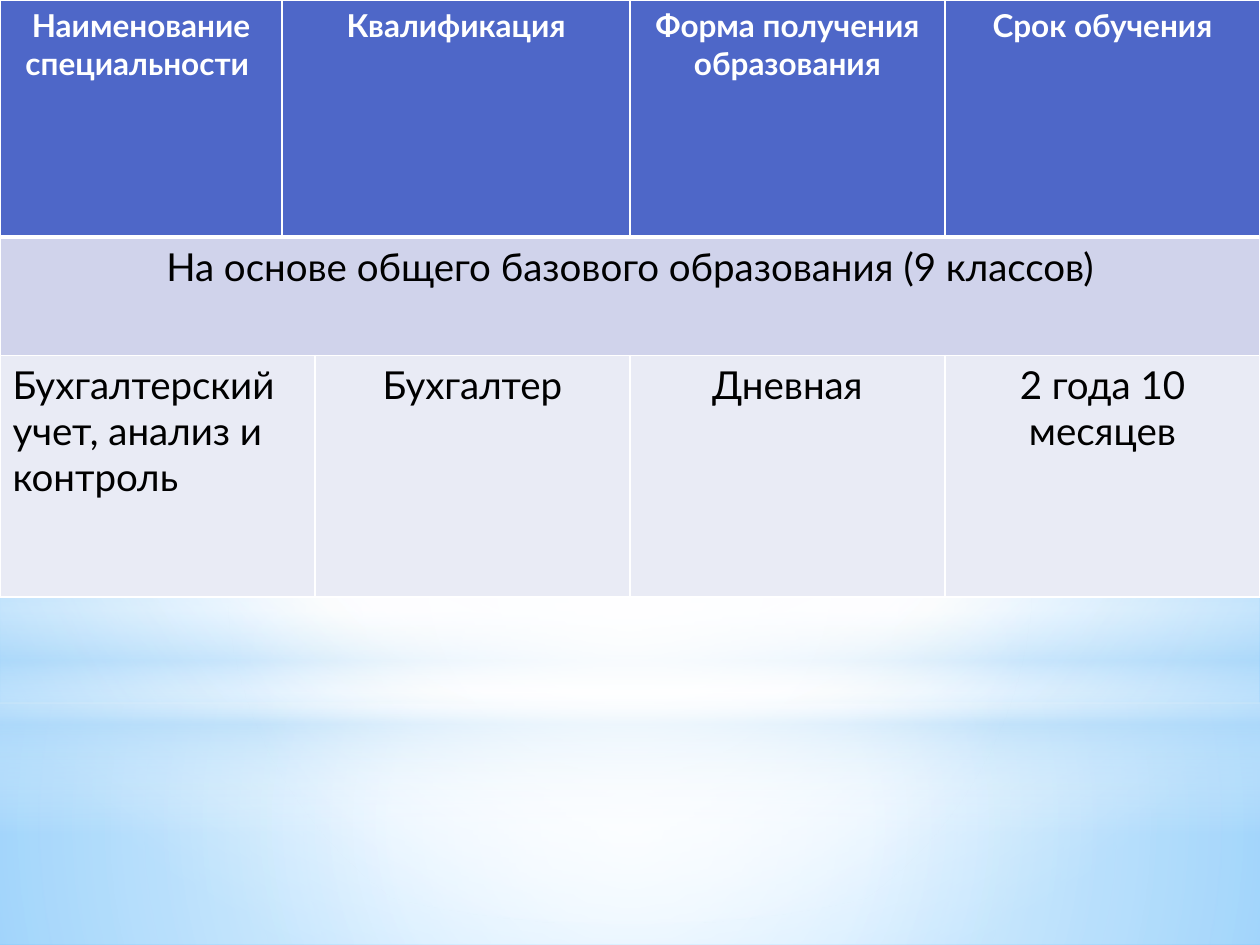
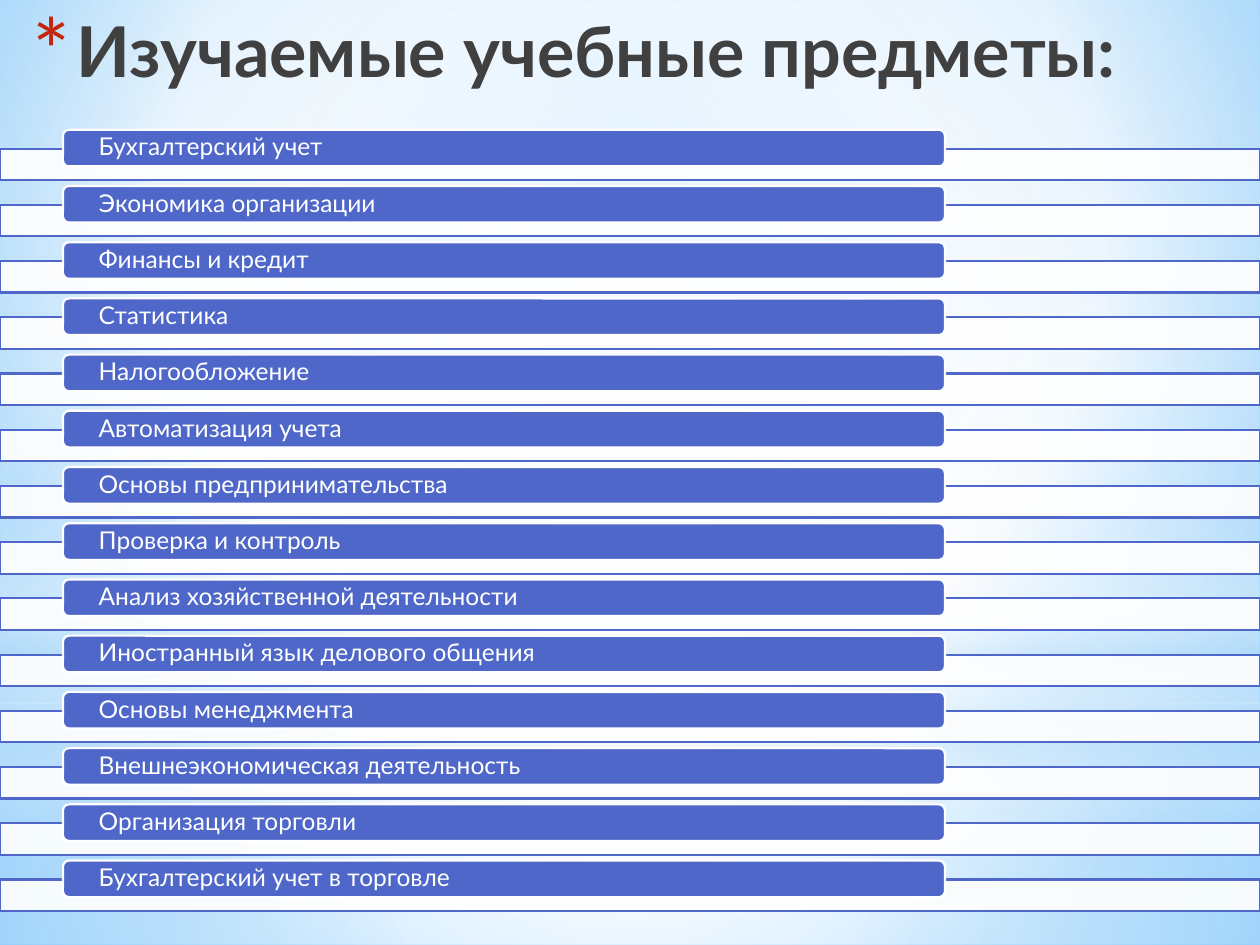
"""Build two slides about an accounting course: its terms and its subjects."""
import dataclasses

import lxml.etree
import pptx
import pptx.dml.color
import pptx.enum.shapes
import pptx.enum.text
import pptx.oxml
import pptx.oxml.ns
import pptx.util


@dataclasses.dataclass(frozen=True)
class Theme:
    font: str = "Lato"
    blue: str = "4E67C8"
    band: str = "D0D3EB"
    pale: str = "E9EBF5"
    white: str = "FFFFFF"
    black: str = "000000"
    ink: str = "404040"
    red: str = "C3260C"
    sky: str = "B4DCFA"
    title: int = 40
    body: int = 22
    head: int = 18
    item: int = 14


look = Theme()
inch = pptx.util.Inches
rgb = pptx.dml.color.RGBColor.from_string
qn = pptx.oxml.ns.qn
names = pptx.oxml.ns.nsdecls("a")
kinds = pptx.enum.shapes.MSO_SHAPE
aligns = pptx.enum.text.PP_ALIGN
anchors = pptx.enum.text.MSO_ANCHOR


def shade(owner, stops, rect=None):
    """Swap the solid fill of owner for a round or, without rect, a vertical gradient."""
    owner.fill.solid()
    owner.fill.fore_color.rgb = rgb(look.white)
    marks = "".join(
        f'<a:gs pos="{pos * 1000}"><a:srgbClr val="{tint}">'
        f'<a:alpha val="{alpha * 1000}"/></a:srgbClr></a:gs>'
        for pos, tint, alpha in stops)
    way = '<a:lin ang="5400000" scaled="0"/>'
    if rect:
        sides = " ".join(f'{side}="{part * 1000}"' for side, part in zip("ltrb", rect))
        way = f'<a:path path="circle"><a:fillToRect {sides}/></a:path>'
    root = owner.element if hasattr(owner, "element") else master.element
    old = next(root.iter(qn("a:solidFill")))
    old.getparent().replace(old, pptx.oxml.parse_xml(
        f'<a:gradFill {names} rotWithShape="1"><a:gsLst>{marks}</a:gsLst>{way}</a:gradFill>'))


def style(frame, size, tint, bold=False, align=aligns.LEFT):
    """Format every paragraph and run of a text frame."""
    for para in frame.paragraphs:
        para.alignment = align
        for run in para.runs:
            run.font.name = look.font
            run.font.size = pptx.util.Pt(size)
            run.font.bold = bold
            run.font.color.rgb = rgb(tint)


deck = pptx.Presentation()
wide, high = inch(10), inch(7.5)
deck.slide_width, deck.slide_height = wide, high
master = deck.slide_master
terms = deck.slides.add_slide(deck.slide_layouts[6])

shade(master.background, [(0, "9ED5FF", 100), (60, look.white, 100), (100, "5BB9FF", 100)],
      (20, 10, 20, 60))
mid = (50, 50, 50, 50)
glows = [
    (kinds.RECTANGLE, 5.58, 1.92, mid,
     [(0, look.white, 91), (37, look.white, 76), (100, look.sky, 79)]),
    (kinds.RECTANGLE, 0, 5.58, mid,
     [(0, look.white, 89), (48, look.white, 62), (100, look.sky, 79)]),
    (kinds.RECTANGLE, 4.12, 2.5, None,
     [(0, look.white, 0), (29, look.white, 30), (45, look.sky, 40),
      (55, look.white, 26), (65, look.sky, 60), (100, look.white, 0)]),
    (kinds.OVAL, 1.75, 5.58, mid, [(0, look.white, 100), (56, look.white, 0)]),
]
for spot, (kind, top, tall, rect, stops) in enumerate(glows):
    glow = terms.shapes.add_shape(kind, 0, inch(top), wide, inch(tall))
    glow.shadow.inherit = False
    shade(glow, stops, rect)
    glow.line.fill.background()
    master.shapes.element.insert(2 + spot, glow.element)

rows = [
    (1.88, look.blue, look.head, look.white, True,
     {0: "Наименование\nспециальности ", 1: "Квалификация",
      3: "Форма получения образования", 4: "Срок обучения"}),
    (0.94, look.band, look.body, look.black, False,
     {0: "На основе общего базового образования (9 классов)"}),
    (1.92, look.pale, look.body, look.black, False,
     {0: "Бухгалтерский учет, анализ и контроль", 2: "Бухгалтер",
      3: "Дневная", 4: "2 года 10 месяцев"}),
]
grid = terms.shapes.add_table(3, 5, 0, 0, wide, inch(4.74)).table
grid.first_row = grid.horz_banding = False
quart = wide // 4
slim = inch(0.26)
for col, size in zip(grid.columns, (quart - slim, slim, quart, quart, quart)):
    col.width = size
for row, (tall, fill, size, tint, bold, texts) in enumerate(rows):
    grid.rows[row].height = inch(tall)
    for col in range(5):
        cell = grid.cell(row, col)
        cell.fill.solid()
        cell.fill.fore_color.rgb = rgb(fill)
        for spot, side in enumerate("LRTB"):
            thick = 3 if (row, side) in ((0, "B"), (1, "T")) else 1
            cell._tc.get_or_add_tcPr().insert(spot, pptx.oxml.parse_xml(
                f'<a:ln{side} {names} w="{pptx.util.Pt(thick)}"><a:solidFill>'
                f'<a:srgbClr val="{look.white}"/></a:solidFill></a:ln{side}>'))
        if col in texts:
            cell.text_frame.text = texts[col]
            align = aligns.LEFT if (row, col) == (2, 0) else aligns.CENTER
            style(cell.text_frame, size, tint, bold, align)
for row, start, end in ((0, 1, 2), (1, 0, 4), (2, 0, 1)):
    grid.cell(row, start).merge(grid.cell(row, end))

study = deck.slides.add_slide(deck.slide_layouts[5])
title = study.shapes.title
title.left, title.top, title.width, title.height = inch(0.16), inch(0.01), inch(9.69), high // 6
frame = title.text_frame
frame.text = "Изучаемые учебные предметы:"
frame.auto_size = pptx.enum.text.MSO_AUTO_SIZE.NONE
frame.vertical_anchor = anchors.TOP
style(frame, look.title, look.ink, True)
props = frame.paragraphs[0]._p.get_or_add_pPr()
props.set("marL", str(inch(0.35)))
props.set("indent", str(-inch(0.35)))
for mark in (f'<a:buClr {names}><a:srgbClr val="{look.red}"/></a:buClr>',
             f'<a:buSzPct {names} val="128000"/>',
             f'<a:buFont {names} typeface="{look.font}"/>',
             f'<a:buChar {names} char="*"/>'):
    props.append(pptx.oxml.parse_xml(mark))

topics = [
    "Бухгалтерский учет", "Экономика организации", "Финансы и кредит", "Статистика",
    "Налогообложение", "Автоматизация учета", "Основы предпринимательства",
    "Проверка и контроль", "Анализ хозяйственной деятельности",
    "Иностранный язык делового общения", "Основы менеджмента",
    "Внешнеэкономическая деятельность", "Организация торговли",
    "Бухгалтерский учет в торговле",
]
first, last = 1.18, 6.98
step = (last - first) / (len(topics) - 1)
list_box = study.shapes.add_group_shape()
for spot, topic in enumerate(topics):
    top = first + spot * step
    strip = list_box.shapes.add_shape(kinds.RECTANGLE, 0, inch(top), wide, inch(0.25))
    bar = list_box.shapes.add_shape(
        kinds.ROUNDED_RECTANGLE, wide // 20, inch(top - 0.15), wide * 7 // 10, inch(0.29))
    for shape, fill, edge in ((strip, look.white, look.blue), (bar, look.blue, look.white)):
        shape.shadow.inherit = False
        shape.fill.solid()
        shape.fill.fore_color.rgb = rgb(fill)
        shape.line.color.rgb = rgb(edge)
        shape.line.width = pptx.util.Pt(1.25)
    tone = next(strip.element.iter(qn("a:srgbClr")))
    lxml.etree.SubElement(tone, qn("a:alpha"), val="90000")
    frame = bar.text_frame
    frame.text = topic
    frame.word_wrap = True
    frame.vertical_anchor = anchors.MIDDLE
    frame.margin_left = frame.margin_right = inch(0.27)
    frame.margin_top = frame.margin_bottom = 0
    frame.paragraphs[0].line_spacing = 0.9
    style(frame, look.item, look.white)

deck.save("out.pptx")
